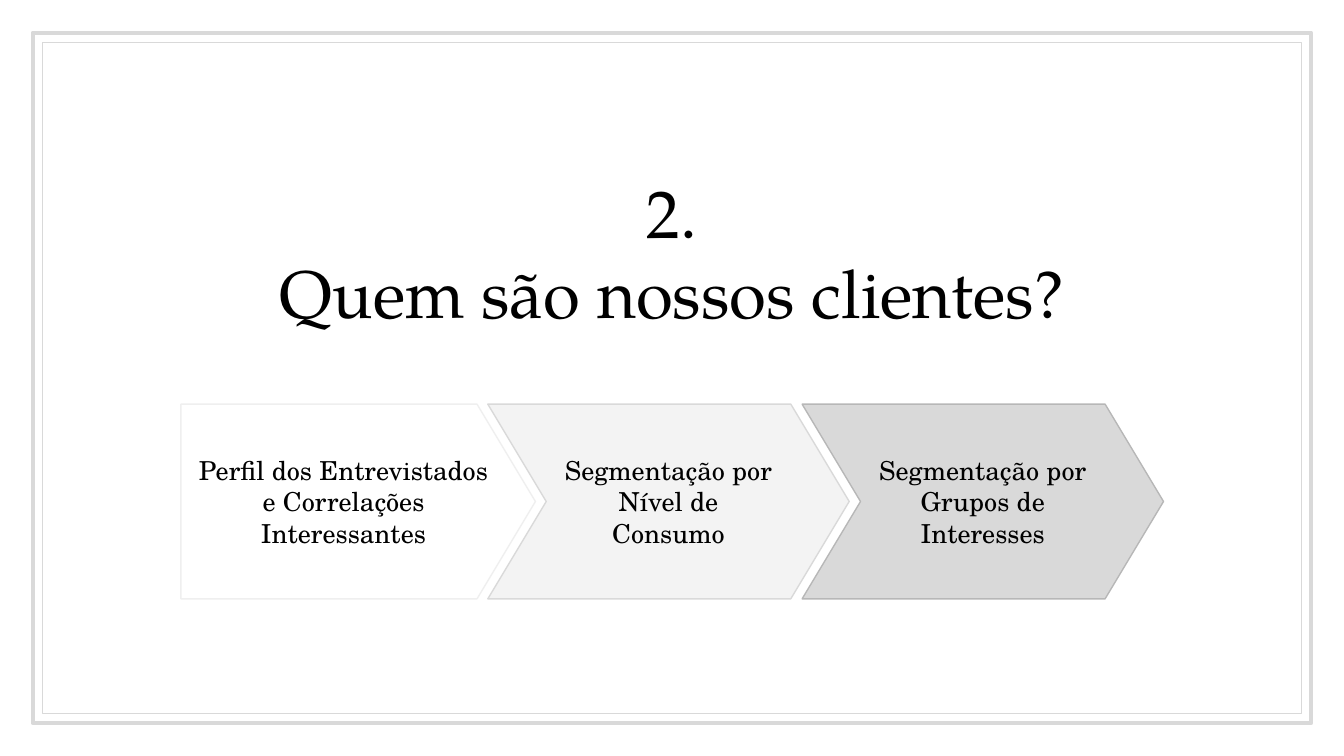
import pptx
import pptx.util
import pptx.dml.color
import pptx.enum.shapes
import pptx.enum.text

Cm = pptx.util.Cm
Pt = pptx.util.Pt
RGB = pptx.dml.color.RGBColor
KIND = pptx.enum.shapes.MSO_SHAPE
ALIGN = pptx.enum.text.PP_ALIGN
ANCHOR = pptx.enum.text.MSO_ANCHOR

BLACK = RGB(0x00, 0x00, 0x00)
FAINT = RGB(0xEF, 0xEF, 0xEF)
PALE = RGB(0xF3, 0xF3, 0xF3)
LIGHT = RGB(0xD9, 0xD9, 0xD9)
GREY = RGB(0xB7, 0xB7, 0xB7)

WIDE, HIGH = 25.4, 14.29


def add_box(kind, left, top, width, height, fill, line, weight):
    box = slide.shapes.add_shape(kind, Cm(left), Cm(top), Cm(width), Cm(height))
    box.shadow.inherit = False
    if fill is None:
        box.fill.background()
    else:
        box.fill.solid()
        box.fill.fore_color.rgb = fill
    box.line.color.rgb = line
    box.line.width = Pt(weight)
    return box


def set_text(box, text, font, size, anchor):
    frame = box.text_frame
    frame.text = text
    frame.word_wrap = True
    frame.auto_size = pptx.enum.text.MSO_AUTO_SIZE.NONE
    frame.vertical_anchor = anchor
    frame.margin_left = frame.margin_right = Cm(0.25)
    frame.margin_top = frame.margin_bottom = Cm(0.25)
    for para in frame.paragraphs:
        para.alignment = ALIGN.CENTER
        for run in para.runs:
            run.font.name = font
            run.font.size = Pt(size)
            run.font.color.rgb = BLACK


deck = pptx.Presentation()
deck.slide_width = Cm(WIDE)
deck.slide_height = Cm(HIGH)
slide = deck.slides.add_slide(deck.slide_layouts[0])

sub = slide.placeholders[1].element
sub.getparent().remove(sub)

for inset, weight in ((0.62, 2.25), (0.8, 0.75)):
    add_box(KIND.RECTANGLE, inset, inset, WIDE - 2 * inset, HIGH - 2 * inset,
            None, LIGHT, weight)

title = slide.shapes.title
title.left, title.top = Cm(4.5), Cm(3.3)
title.width, title.height = Cm(16.4), Cm(3.23)
set_text(title, "2.\nQuem são nossos clientes?", "TeX Gyre Pagella", 36,
         ANCHOR.BOTTOM)

steps = (
    (KIND.PENTAGON, 3.42, 6.7, None, FAINT,
     "Perfil dos Entrevistados e Correlações Interessantes"),
    (KIND.CHEVRON, 9.22, 6.83, PALE, LIGHT,
     "Segmentação por Nível de Consumo"),
    (KIND.CHEVRON, 15.16, 6.83, LIGHT, GREY,
     "Segmentação por Grupos de Interesses"),
)
for kind, left, width, fill, line, text in steps:
    step = add_box(kind, left, 7.64, width, 3.68, fill, line, 0.75)
    step.adjustments[0] = 0.3
    set_text(step, text, "TeX Gyre Schola", 14, ANCHOR.MIDDLE)

deck.save("out.pptx")
